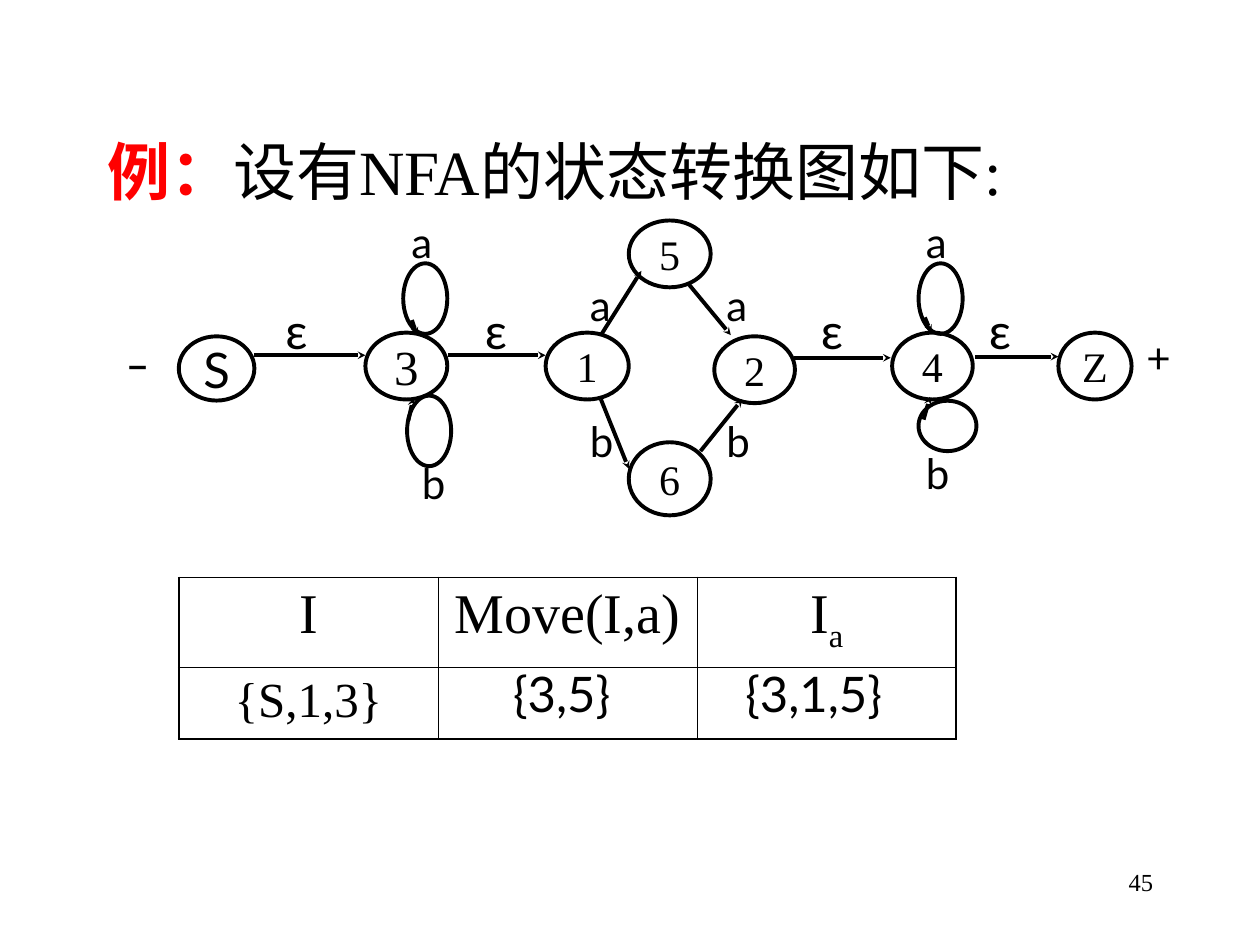
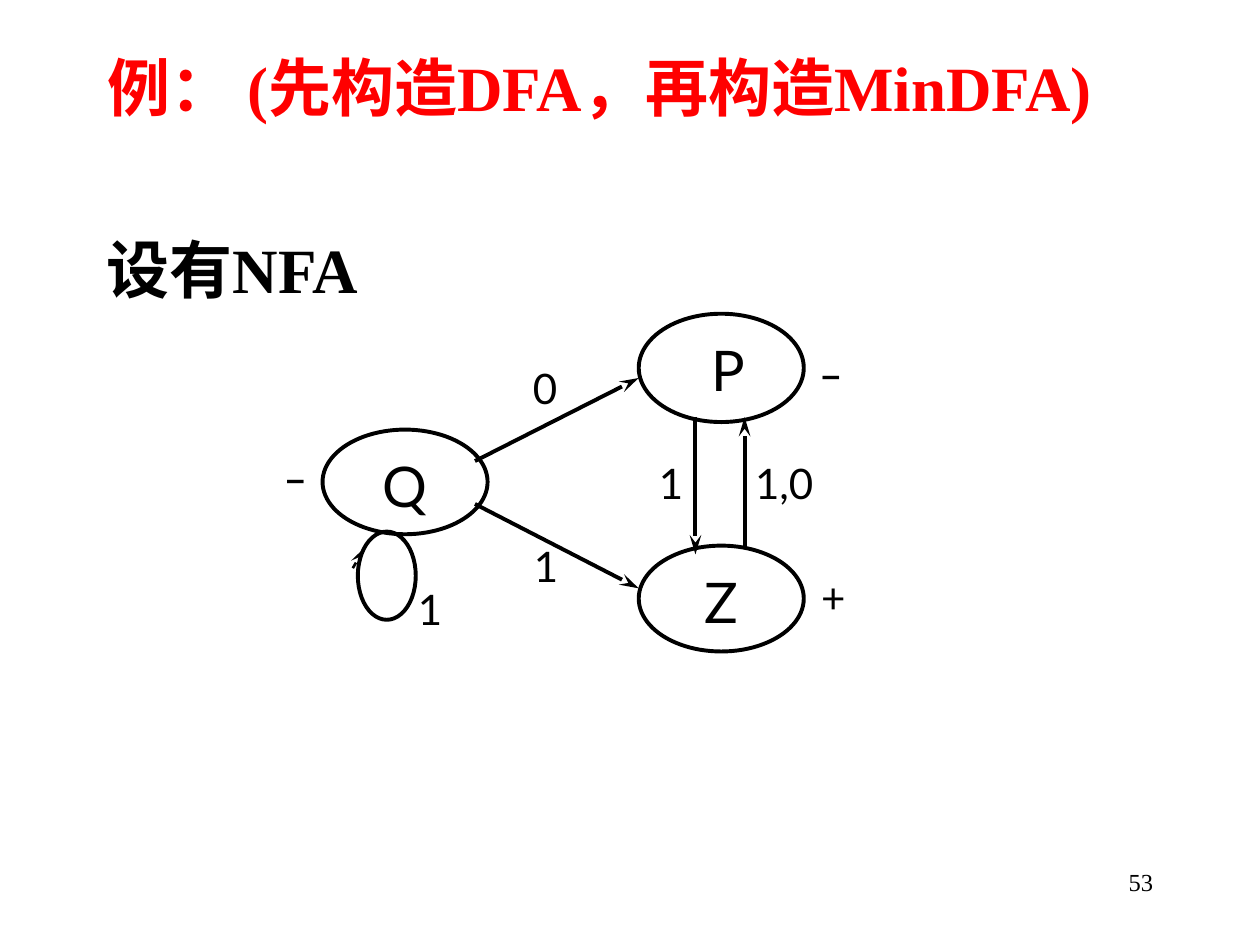
import pptx
import pptx.util
import pptx.dml.color
import pptx.enum.shapes
import pptx.enum.text
import pptx.oxml.ns
from lxml import etree

Pt = pptx.util.Pt
ALIGN = pptx.enum.text.PP_ALIGN
ANCHOR = pptx.enum.text.MSO_ANCHOR
OVAL = pptx.enum.shapes.MSO_SHAPE.OVAL
STRAIGHT = pptx.enum.shapes.MSO_CONNECTOR.STRAIGHT
qn = pptx.oxml.ns.qn

BLACK = pptx.dml.color.RGBColor(0, 0, 0)
RED = pptx.dml.color.RGBColor(0xFF, 0, 0)
SERIF = "Times New Roman"
SANS = "Lato"
OUTER_BORDER = 1.08
INNER_BORDER = 0.45


def format_paragraph(para, size, font=SERIF, align=ALIGN.CENTER, bold=False, color=BLACK):
    para.alignment = align
    para.font.size = Pt(size)
    para.font.name = font
    para.font.bold = bold
    para.font.color.rgb = color


def add_text(page, text, left, top, width, height, size, font=SANS,
             align=ALIGN.CENTER, bold=False, wrap=False):
    box = page.shapes.add_textbox(Pt(left), Pt(top), Pt(width), Pt(height))
    box.text_frame.word_wrap = wrap
    box.text_frame.text = text
    format_paragraph(box.text_frame.paragraphs[0], size, font, align, bold)
    return box


# Title: left, top, width, height, then runs of (text, color, bold)
# Ovals: text, left, top, width, height, size, font (loops carry no text)
# Arrows: from x, from y, to x, to y, line width
# Labels: text, left, top, width, size
nfa_with_epsilon = {
    "number": "45",
    "title": (54, 72, 666, 60),
    "title_runs": [("例：", RED, True), ("设有NFA的状态转换图如下:", BLACK, False)],
    "anchor": ANCHOR.MIDDLE,
    "arrowhead": ("sm", "sm"),
    "label_align": ALIGN.LEFT,
    "ovals": [
        ("5", 359.3, 126, 46.8, 38.2, 24, SERIF),
        ("S", 102.2, 192.2, 43.2, 36.7, 28, SANS),
        ("3", 208.8, 190.1, 46.8, 38.2, 28, SERIF),
        ("1", 311.8, 190.1, 47.5, 38.2, 24, SERIF),
        ("2", 408.2, 192.2, 46.1, 38.2, 24, SERIF),
        ("4", 509.8, 190.1, 46.1, 38.2, 24, SERIF),
        ("Z", 604.8, 190.1, 41.8, 38.2, 24, SERIF),
        ("6", 359.3, 252.7, 46.8, 41.8, 24, SERIF),
        ("", 230.4, 150.5, 25.2, 40.3, 24, SERIF),
        ("", 232.6, 226.1, 25.2, 40.3, 24, SERIF),
        ("", 524.9, 150.5, 25.2, 40.3, 24, SERIF),
        ("", 524.9, 229, 33.1, 28.8, 24, SERIF),
    ],
    "arrows": [
        (145.4, 203, 208.8, 203, 2.25),
        (256.3, 203, 311.8, 203, 2.25),
        (453.6, 204.5, 509, 204.5, 2.25),
        (557.3, 203.8, 604.8, 203.8, 2.25),
        (343.4, 191.5, 366.5, 154.8, 2.25),
        (343.4, 228.2, 359.3, 267.8, 2.25),
        (400.3, 257.8, 424.1, 228.2, 2.25),
        (393.8, 162.7, 417.6, 191.5, 2.25),
        (233.3, 240.5, 236.2, 227.5, 2.25),
        (527.8, 239.8, 531.4, 226.8, 2.25),
        (235.4, 182.9, 238.3, 191.5, 2.25),
        (528.5, 181.4, 532.1, 190.1, 2.25),
    ],
    "labels": [
        ("ε", 156, 168, 42, 28), ("ε", 270, 168, 36, 28),
        ("ε", 462, 168, 36, 28), ("ε", 558, 168, 36, 28),
        ("a", 228, 120, 30, 24), ("b", 234, 258, 30, 24),
        ("a", 330, 156, 30, 24), ("a", 408, 156, 30, 24),
        ("b", 330, 234, 30, 24), ("b", 408, 234, 30, 24),
        ("a", 522, 120, 30, 24), ("b", 522, 252, 30, 24),
        ("+", 648, 186, 30, 24), ("_", 66, 180, 30, 24),
    ],
}

nfa_to_minimise = {
    "number": "53",
    "title": (54, 24, 636, 60),
    "title_runs": [("例： (先构造DFA，再构造MinDFA)", RED, True)],
    "anchor": ANCHOR.TOP,
    "arrowhead": ("med", "lg"),
    "label_align": ALIGN.CENTER,
    "ovals": [
        ("Q", 184.3, 245.5, 94.3, 59.8, 32, SANS),
        ("P", 365, 179.3, 94.3, 61.9, 32, SANS),
        ("Z", 365, 311.8, 94.3, 60.5, 32, SANS),
        ("", 204.5, 303.8, 33.1, 50.4, 32, SANS),
    ],
    "arrows": [
        (271.4, 263.5, 365, 216, 2.25),
        (271.4, 288, 365, 336.2, 2.25),
        (397.4, 238.3, 397.4, 316.8, 2.25),
        (425.5, 311.8, 425.5, 238.3, 2.25),
        (201.6, 324.7, 208.1, 313.2, 1.5),
    ],
    "labels": [
        ("1", 231.8, 329.8, 28, 24), ("1", 298, 305.3, 28, 24),
        ("0", 297.4, 203.8, 28, 24), ("1", 369.4, 257.8, 28, 24),
        ("1,0", 424, 257.8, 48.2, 24), ("_", 154, 245.5, 29.5, 24),
        ("+", 462.2, 323.3, 28, 24), ("_", 460, 185.8, 29.5, 24),
    ],
}

deck = pptx.Presentation()
deck.slide_width = Pt(720)
deck.slide_height = Pt(540)
title_only = deck.slide_layouts[5]

pages = []
for diagram in (nfa_with_epsilon, nfa_to_minimise):
    page = deck.slides.add_slide(title_only)
    pages.append(page)

    title = page.shapes.title
    title.left, title.top, title.width, title.height = map(Pt, diagram["title"])
    frame = title.text_frame
    frame.word_wrap = True
    frame.auto_size = pptx.enum.text.MSO_AUTO_SIZE.NONE
    frame.vertical_anchor = ANCHOR.TOP
    para = frame.paragraphs[0]
    format_paragraph(para, 36, align=ALIGN.LEFT)
    para.space_before = Pt(9)
    for text, color, bold in diagram["title_runs"]:
        span = para.add_run()
        span.text = text
        span.font.color.rgb = color
        span.font.bold = bold

    add_text(page, diagram["number"], 516, 492, 150, 36, 14, SERIF, ALIGN.RIGHT, wrap=True)

    for text, left, top, width, height, size, font in diagram["ovals"]:
        oval = page.shapes.add_shape(OVAL, Pt(left), Pt(top), Pt(width), Pt(height))
        oval.shadow.inherit = False
        oval.fill.background()
        oval.line.color.rgb = BLACK
        oval.line.width = Pt(2.25)
        if text:
            oval.text_frame.text = text
            oval.text_frame.vertical_anchor = diagram["anchor"]
            format_paragraph(oval.text_frame.paragraphs[0], size, font)
        if text == "P":
            oval.text_frame.margin_left = Pt(15)

    head_width, head_length = diagram["arrowhead"]
    for from_x, from_y, to_x, to_y, weight in diagram["arrows"]:
        arrow = page.shapes.add_connector(STRAIGHT, Pt(from_x), Pt(from_y), Pt(to_x), Pt(to_y))
        arrow.line.color.rgb = BLACK
        arrow.line.width = Pt(weight)
        etree.SubElement(arrow.line._get_or_add_ln(), qn("a:tailEnd"),
                         type="stealth", w=head_width, len=head_length)
        etree.SubElement(arrow._element.spPr, qn("a:effectLst"))

    align = diagram["label_align"]
    for text, left, top, width, size in diagram["labels"]:
        add_text(page, text, left, top, width, size * 1.5, size, align=align,
                 bold=text == "_", wrap=align == ALIGN.LEFT)

# Subset construction table
page = pages[0]
table = page.shapes.add_table(2, 3, Pt(102.2), Pt(330), Pt(444.3), Pt(92.2)).table
table.first_row = False
table.horz_banding = False
for column in table.columns:
    column.width = Pt(148.1)
table.rows[0].height = Pt(51.2)
table.rows[1].height = Pt(41)

entries = [["I", "Move(I,a)", "I"], ["{S,1,3}", "", ""]]
row_styles = [(32, 8), (28, 7)]
for row, (size, gap) in enumerate(row_styles):
    for column, text in enumerate(entries[row]):
        cell = table.cell(row, column)
        cell.text = text
        para = cell.text_frame.paragraphs[0]
        format_paragraph(para, size)
        para.space_before = Pt(gap)
        borders = [("a:lnL", column == 0), ("a:lnR", column == 2),
                   ("a:lnT", row == 0), ("a:lnB", row == 1)]
        for side, is_outer in borders:
            weight = Pt(OUTER_BORDER if is_outer else INNER_BORDER)
            edge = etree.SubElement(cell._tc.get_or_add_tcPr(), qn(side), w=str(int(weight)))
            paint = etree.SubElement(edge, qn("a:solidFill"))
            etree.SubElement(paint, qn("a:srgbClr"), val=str(BLACK))
        cell.fill.background()

subscript = table.cell(0, 2).text_frame.paragraphs[0].add_run()
subscript.text = "a"
subscript.font._element.set("baseline", "-25000")

for text, left in (("{3,5}", 270), ("{3,1,5}", 414)):
    box = add_text(page, text, left, 378, 102, 36, 28)
    box.text_frame.vertical_anchor = ANCHOR.MIDDLE

# Second line of the task
box = add_text(pages[1], "设有NFA", 54, 128, 636, 60, 36, SERIF, ALIGN.LEFT, bold=True, wrap=True)
box.text_frame.paragraphs[0].space_before = Pt(9)

deck.save("out.pptx")
